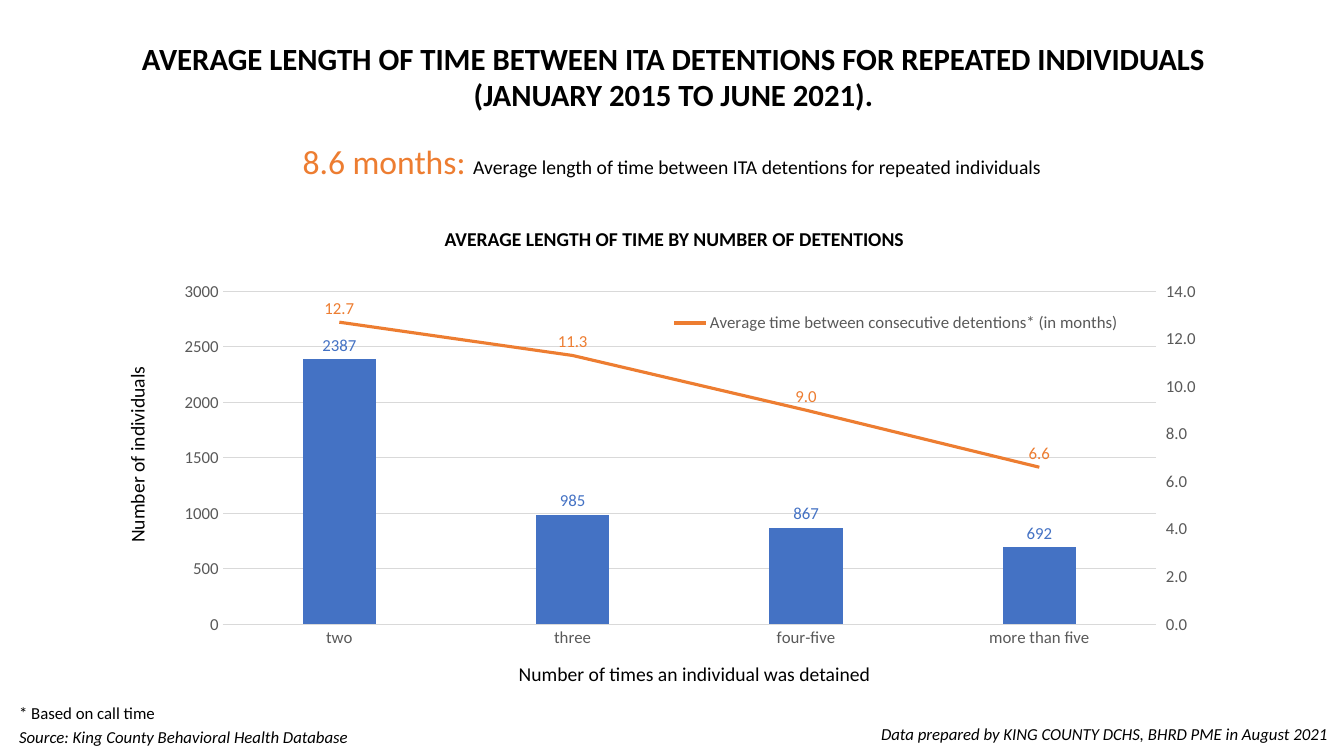
from copy import deepcopy

from pptx import Presentation
from pptx.chart.axis import CategoryAxis, ValueAxis
from pptx.chart.data import CategoryChartData
from pptx.dml.color import RGBColor
from pptx.enum.chart import XL_CHART_TYPE, XL_LABEL_POSITION, XL_LEGEND_POSITION, XL_MARKER_STYLE, XL_TICK_MARK
from pptx.enum.text import PP_ALIGN
from pptx.oxml import parse_xml
from pptx.oxml.ns import nsdecls, qn
from pptx.util import Inches, Pt

BLACK, GRAY, GRID = "000000", "595959", "D9D9D9"
BLUE, ORANGE = "4472C4", "ED7D31"


def color(value):
    return RGBColor.from_string(value)


def style_font(font, size, value=BLACK, bold=None, italic=None):
    font.name, font.size, font.bold, font.italic = "Calibri", Pt(size), bold, italic
    font.color.rgb = color(value)


def add_text(page, box, lines, size, align=PP_ALIGN.CENTER, bold=None, italic=None):
    shape = page.shapes.add_textbox(*(Inches(length) for length in box))
    frame = shape.text_frame
    frame.word_wrap = True
    for index, line in enumerate(lines):
        para = frame.paragraphs[0] if index == 0 else frame.add_paragraph()
        para.text, para.alignment = line, align
        style_font(para.font, size, bold=bold, italic=italic)
    return shape


def add_headline(page, box):
    para = add_text(page, box, [""], 14).text_frame.paragraphs[0]
    for text, size, value in (
        ("8.6 months: ", 24, ORANGE),
        ("Average length of time between ITA detentions for repeated individuals", 14, BLACK),
    ):
        span = para.add_run()
        span.text = text
        style_font(span.font, size, value)


def manual_layout(x, y, width, height, inner=False):
    target = '<c:layoutTarget val="inner"/>' if inner else ""
    return parse_xml(
        f'<c:layout {nsdecls("c")}><c:manualLayout>{target}'
        '<c:xMode val="edge"/><c:yMode val="edge"/>'
        f'<c:x val="{x}"/><c:y val="{y}"/><c:w val="{width}"/><c:h val="{height}"/>'
        '</c:manualLayout></c:layout>'
    )


def replace_layout(parent, index, layout):
    for old in parent.findall(qn("c:layout")):
        parent.remove(old)
    parent.insert(index, layout)


def style_labels(series, value, number_format, position):
    labels = series.data_labels
    labels.show_value = True
    labels.number_format, labels.number_format_is_linked = number_format, False
    labels.position = position
    style_font(labels.font, 12, value)


def style_axes(chart):
    category, value = chart.category_axis, chart.value_axis
    for axis in (category, value):
        axis.major_tick_mark = axis.minor_tick_mark = XL_TICK_MARK.NONE
        style_font(axis.tick_labels.font, 12, GRAY)
    category.format.line.color.rgb = color(GRID)
    category.format.line.width = Pt(0.75)
    value.format.line.fill.background()
    value.minimum_scale, value.maximum_scale, value.major_unit = 0, 3000, 500
    value.major_gridlines.format.line.color.rgb = color(GRID)
    value.major_gridlines.format.line.width = Pt(0.75)


def move_to_right_axis(plot_area):
    bars = plot_area.find(qn("c:barChart"))
    months = bars.findall(qn("c:ser"))[1]
    bars.remove(months)
    for bar_only in months.findall(qn("c:invertIfNegative")):
        months.remove(bar_only)
    lines = parse_xml(
        f'<c:lineChart {nsdecls("c")}><c:grouping val="standard"/><c:varyColors val="0"/>'
        '<c:marker val="1"/><c:axId val="5001"/><c:axId val="5002"/></c:lineChart>'
    )
    lines.insert(2, months)
    bars.addnext(lines)

    right_category = deepcopy(plot_area.find(qn("c:catAx")))
    right_value = deepcopy(plot_area.find(qn("c:valAx")))
    plot_area.find(qn("c:valAx")).addnext(right_value)
    right_value.addnext(right_category)
    for axis, own, other in ((right_category, "5001", "5002"), (right_value, "5002", "5001")):
        axis.find(qn("c:axId")).set("val", own)
        axis.find(qn("c:crossAx")).set("val", other)
    right_value.find(qn("c:axPos")).set("val", "r")
    right_value.find(qn("c:crosses")).set("val", "max")
    CategoryAxis(right_category).visible = False
    axis = ValueAxis(right_value)
    axis.has_major_gridlines = False
    axis.major_tick_mark = XL_TICK_MARK.OUTSIDE
    axis.maximum_scale, axis.major_unit = 14, 2
    axis.tick_labels.number_format = "0.0"
    axis.tick_labels.number_format_is_linked = False


def add_legend(chart):
    chart.has_legend = True
    legend = chart.legend
    legend.position = XL_LEGEND_POSITION.RIGHT
    legend.include_in_layout = True
    style_font(legend.font, 12, GRAY)
    element = chart._chartSpace.chart.find(qn("c:legend"))
    element.insert(1, parse_xml(
        f'<c:legendEntry {nsdecls("c")}><c:idx val="0"/><c:delete val="1"/></c:legendEntry>'
    ))
    replace_layout(element, 2, manual_layout(0.47, 0.07, 0.44, 0.09))


def add_detention_chart(page, box):
    data = CategoryChartData()
    data.categories = ["two", "three", "four-five", "more than five"]
    data.add_series("Number of individuals", (2387, 985, 867, 692))
    data.add_series(
        "Average time between consecutive detentions* (in months)", (12.7, 11.3, 9, 6.6), "0.0"
    )
    chart = page.shapes.add_chart(
        XL_CHART_TYPE.COLUMN_CLUSTERED, *(Inches(length) for length in box), data
    ).chart
    chart.has_title = False
    style_font(chart.font, 10)
    style_axes(chart)
    plot_area = chart._chartSpace.chart.plotArea
    move_to_right_axis(plot_area)
    replace_layout(plot_area, 0, manual_layout(0.055, 0.03, 0.88, 0.895, inner=True))

    bars, lines = chart.plots
    bars.gap_width, bars.vary_by_categories = 219, False
    people, months = bars.series[0], lines.series[0]
    people.format.fill.solid()
    people.format.fill.fore_color.rgb = color(BLUE)
    style_labels(people, BLUE, "General", XL_LABEL_POSITION.OUTSIDE_END)
    months.format.line.color.rgb = color(ORANGE)
    months.format.line.width = Pt(2.25)
    months.marker.style = XL_MARKER_STYLE.NONE
    months.smooth = False
    style_labels(months, ORANGE, "0.0", XL_LABEL_POSITION.ABOVE)
    add_legend(chart)


def add_chart_region(page, left, top):
    add_text(page, (left + 0.55, top, 9.9, 0.34),
             ["AVERAGE LENGTH OF TIME BY NUMBER OF DETENTIONS"], 14, bold=True)
    add_detention_chart(page, (left + 0.44, top + 0.58, 10.52, 3.69))
    axis_title = add_text(page, (left, top + 0.53, 0.44, 3.56), ["Number of individuals"], 14)
    axis_title.text_frame._txBody.bodyPr.set("vert", "vert270")
    add_text(page, (left + 1.02, top + 4.32, 9.36, 0.34),
             ["Number of times an individual was detained"], 14)


def add_footer(page, left, top):
    add_text(page, (left, top, 1.85, 0.3), ["* Based on call time"], 12, PP_ALIGN.LEFT)
    add_text(page, (left, top + 0.24, 5.88, 0.3),
             ["Source: King County Behavioral Health Database"], 12, PP_ALIGN.LEFT, italic=True)
    add_text(page, (left + 8.55, top + 0.21, 4.7, 0.3),
             ["Data prepared by KING COUNTY DCHS, BHRD PME in August 2021"],
             12, PP_ALIGN.LEFT, italic=True)


deck = Presentation()
deck.slide_width, deck.slide_height = Inches(13.33), Inches(7.5)
page = deck.slides.add_slide(deck.slide_layouts[6])
add_text(page, (0.45, 0.34, 12.46, 0.84), [
    "AVERAGE LENGTH OF TIME BETWEEN ITA DETENTIONS FOR REPEATED INDIVIDUALS",
    "(JANUARY 2015 TO JUNE 2021).",
], 22, bold=True)
add_headline(page, (0.32, 1.35, 12.69, 0.5))
add_chart_region(page, 1.19, 2.2)
add_footer(page, 0.09, 6.92)
deck.save("out.pptx")
